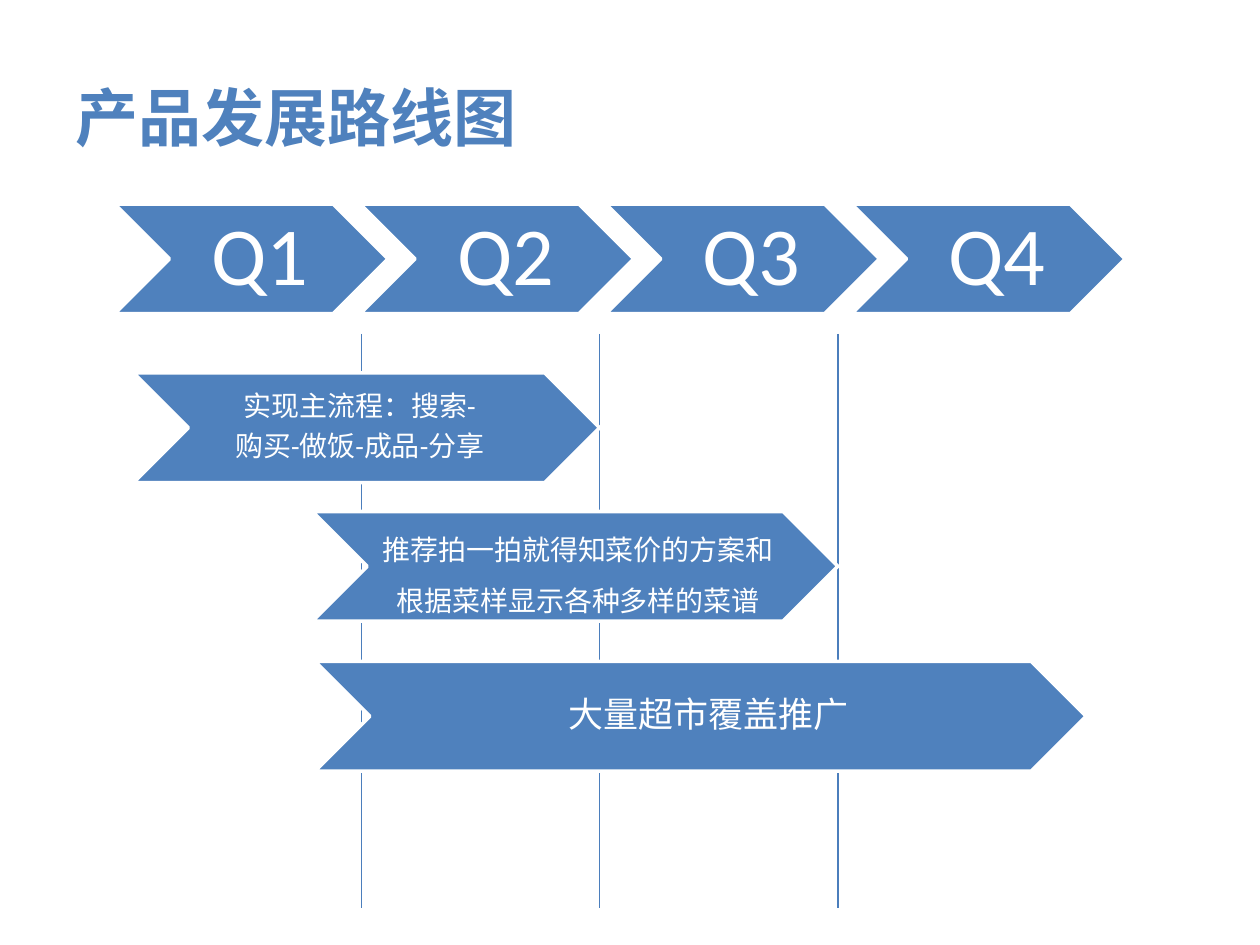
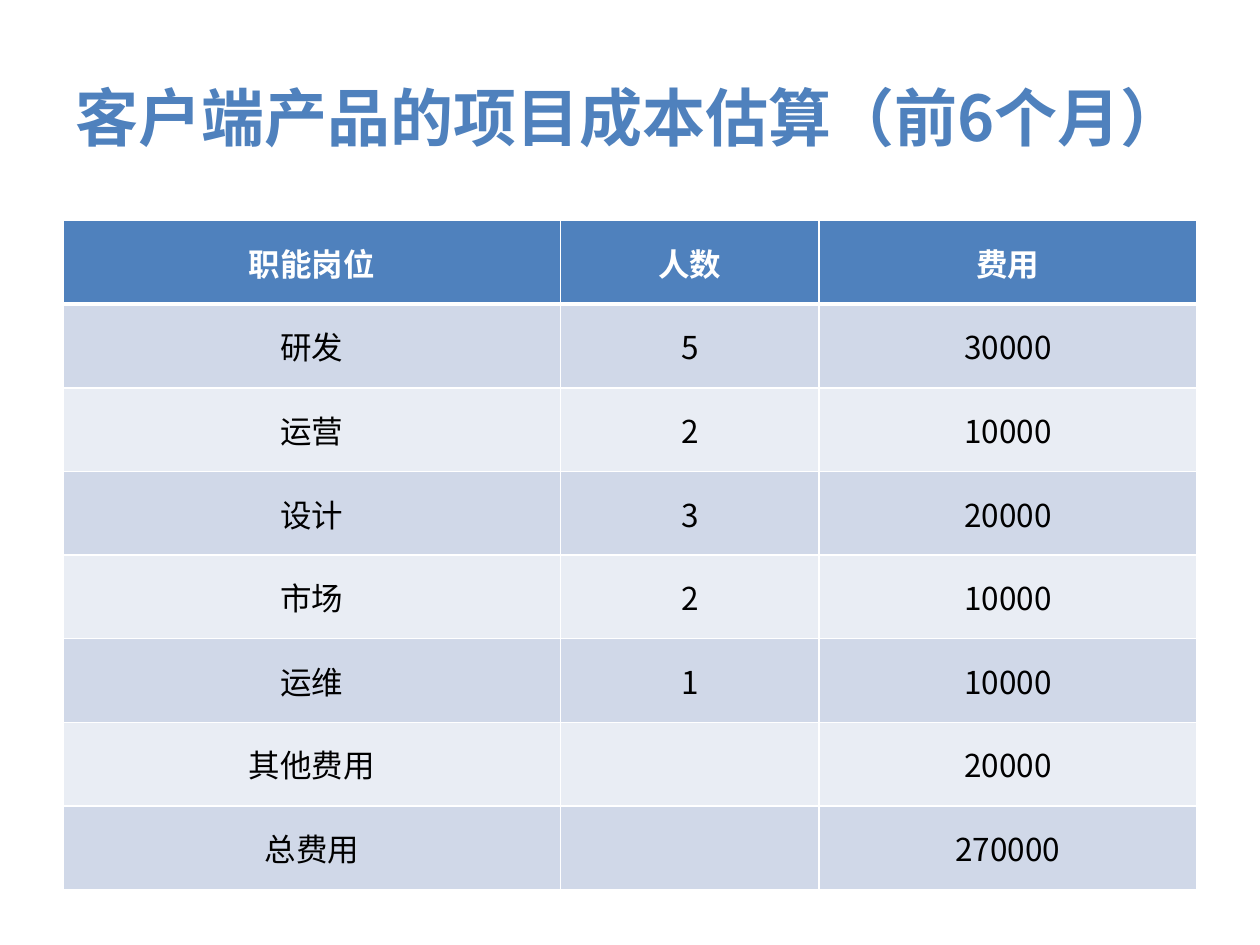
from lxml import etree
from pptx import Presentation
from pptx.dml.color import RGBColor
from pptx.enum.shapes import MSO_CONNECTOR as CONN, MSO_SHAPE as SHAPE
from pptx.enum.text import MSO_ANCHOR as ANCHOR, PP_ALIGN as ALIGN
from pptx.oxml.ns import qn
from pptx.util import Inches, Pt

# The slide is a grid of 10 columns by 7.5 rows.
COLS, ROWS = 10, 7.5
CELL = Inches(1)

BLUE, LINE_BLUE = "4F81BD", "4B7EBC"
WHITE, BLACK = "FFFFFF", "000000"
BANDS = ("D0D8E8", "E9EDF4")
CJK, LATIN = "Noto Sans CJK SC", "Calibri"

CHEVRON_H = 0.87
QUARTERS = ("Q1", "Q2", "Q3", "Q4")
QUARTER_LEFT, QUARTER_TOP, QUARTER_W, QUARTER_STEP = 0.91, 1.62, 2.17, 1.95
DIVIDER_LEFT, DIVIDER_STEP, DIVIDER_TOP, DIVIDER_BOTTOM = 2.87, 1.89, 2.65, 7.21

# left, top, width, text left, text width, size, line spacing, paragraphs
TASKS = (
    (1.06, 2.96, 3.7, 1.54, 2.49, 16, 0.9,
     ("实现主流程：搜索-", "购买-做饭-成品-分享")),
    (2.48, 4.06, 4.17, 2.78, 3.48, 16, 1.5,
     ("推荐拍一拍就得知菜价的方案和根据菜样显示各种多样的菜谱",)),
    (2.5, 5.25, 6.12, 3.72, 3.67, 20, 0.9, ("大量超市覆盖推广",)),
)

COST_COLS = (3.95, 2.05, 3)
COST_ROW_H = 0.664
COSTS = (
    ("职能岗位", "人数", "费用"),
    ("研发", "5", "30000"),
    ("运营", "2", "10000"),
    ("设计", "3", "20000"),
    ("市场", "2", "10000"),
    ("运维", "1", "10000"),
    ("其他费用", "", "20000"),
    ("总费用", "", "270000"),
)


def rgb(value):
    return RGBColor.from_string(value)


def grid(*cells):
    return [int(c * CELL) for c in cells]


def set_font(p, name, size, color, bold=False):
    """Set the paragraph's font, and the East Asian face on its runs."""
    p.font.name, p.font.size, p.font.bold = name, Pt(size), bold
    p.font.color.rgb = rgb(color)
    for r in p.runs:
        r_pr = r._r.get_or_add_rPr()
        r_pr.set("lang", "zh-CN")
        etree.SubElement(r_pr, qn("a:ea")).set("typeface", CJK)


def add_text(shapes, box, paragraphs, insets=(0.1, 0.05, 0.1, 0.05)):
    """Add a wrapped, vertically centred text box and return its paragraphs."""
    tf = shapes.add_textbox(*grid(*box)).text_frame
    tf.word_wrap = True
    tf.vertical_anchor = ANCHOR.MIDDLE
    (tf.margin_left, tf.margin_top,
     tf.margin_right, tf.margin_bottom) = grid(*insets)
    tf.text = "\n".join(paragraphs)
    return tf.paragraphs


def add_title(slide, text):
    p, = add_text(slide.shapes, (0.5, 0.3, 9, 1.25), (text,))
    set_font(p, CJK, 36, BLUE, bold=True)


def add_chevron(shapes, box, text_left, text_w, paragraphs, size, spacing=0.9):
    sp = shapes.add_shape(SHAPE.CHEVRON, *grid(*box))
    sp.shadow.inherit = False
    sp.fill.solid()
    sp.fill.fore_color.rgb = rgb(BLUE)
    sp.line.color.rgb = rgb(WHITE)
    sp.line.width = Pt(2)
    label = (text_left, box[1], text_w, box[3])
    for p in add_text(shapes, label, paragraphs, (0.21, 0.07, 0.07, 0.07)):
        p.alignment = ALIGN.CENTER
        p.line_spacing = spacing
        p.space_after = Pt(0.35 * size)
        set_font(p, LATIN, size, WHITE)


def add_divider(slide, x):
    line = slide.shapes.add_connector(
        CONN.STRAIGHT, *grid(x, DIVIDER_TOP, x, DIVIDER_BOTTOM))
    line.line.color.rgb = rgb(LINE_BLUE)
    line.line.width = Pt(0.75)
    etree.SubElement(line._element.spPr, qn("a:effectLst"))


def set_borders(cell, **widths):
    """Draw white borders; the keywords are lnL, lnR, lnT and lnB in points."""
    tc_pr = cell._tc.get_or_add_tcPr()
    for i, (side, width) in enumerate(widths.items()):
        ln = etree.Element(qn(f"a:{side}"), w=str(Pt(width)))
        fill = etree.SubElement(ln, qn("a:solidFill"))
        etree.SubElement(fill, qn("a:srgbClr")).set("val", WHITE)
        tc_pr.insert(i, ln)


def add_cost_table(slide):
    box = grid(0.5, 1.75, sum(COST_COLS), COST_ROW_H * len(COSTS))
    table = slide.shapes.add_table(len(COSTS), len(COST_COLS), *box).table
    for column, width in zip(table.columns, COST_COLS):
        column.width, = grid(width)
    for i, row in enumerate(COSTS):
        header = i == 0
        for j, text in enumerate(row):
            cell = table.cell(i, j)
            cell.text = text
            cell.vertical_anchor = ANCHOR.MIDDLE
            cell.fill.solid()
            cell.fill.fore_color.rgb = rgb(BLUE if header else BANDS[(i - 1) % 2])
            set_borders(cell, lnL=1, lnR=1, lnT=3 if i == 1 else 1,
                        lnB=3 if header else 1)
            p = cell.text_frame.paragraphs[0]
            p.alignment = ALIGN.CENTER
            set_font(p, CJK, 18, WHITE if header else BLACK, bold=header)


def build_roadmap(slide):
    add_title(slide, "产品发展路线图")
    quarters = slide.shapes.add_group_shape().shapes
    for i, name in enumerate(QUARTERS):
        left = QUARTER_LEFT + i * QUARTER_STEP
        add_chevron(quarters, (left, QUARTER_TOP, QUARTER_W, CHEVRON_H),
                    left + CHEVRON_H / 2, QUARTER_W - CHEVRON_H, (name,), 47)
    for i in range(len(QUARTERS) - 1):
        add_divider(slide, DIVIDER_LEFT + i * DIVIDER_STEP)
    for left, top, width, text_left, text_w, size, spacing, lines in TASKS:
        task = slide.shapes.add_group_shape().shapes
        add_chevron(task, (left, top, width, CHEVRON_H),
                    text_left, text_w, lines, size, spacing)


def build_costs(slide):
    add_title(slide, "客户端产品的项目成本估算（前6个月）")
    add_cost_table(slide)


def main():
    prs = Presentation()
    prs.slide_width, prs.slide_height = grid(COLS, ROWS)
    blank = prs.slide_layouts[6]
    for build in (build_roadmap, build_costs):
        build(prs.slides.add_slide(blank))
    prs.save("out.pptx")


if __name__ == "__main__":
    main()
